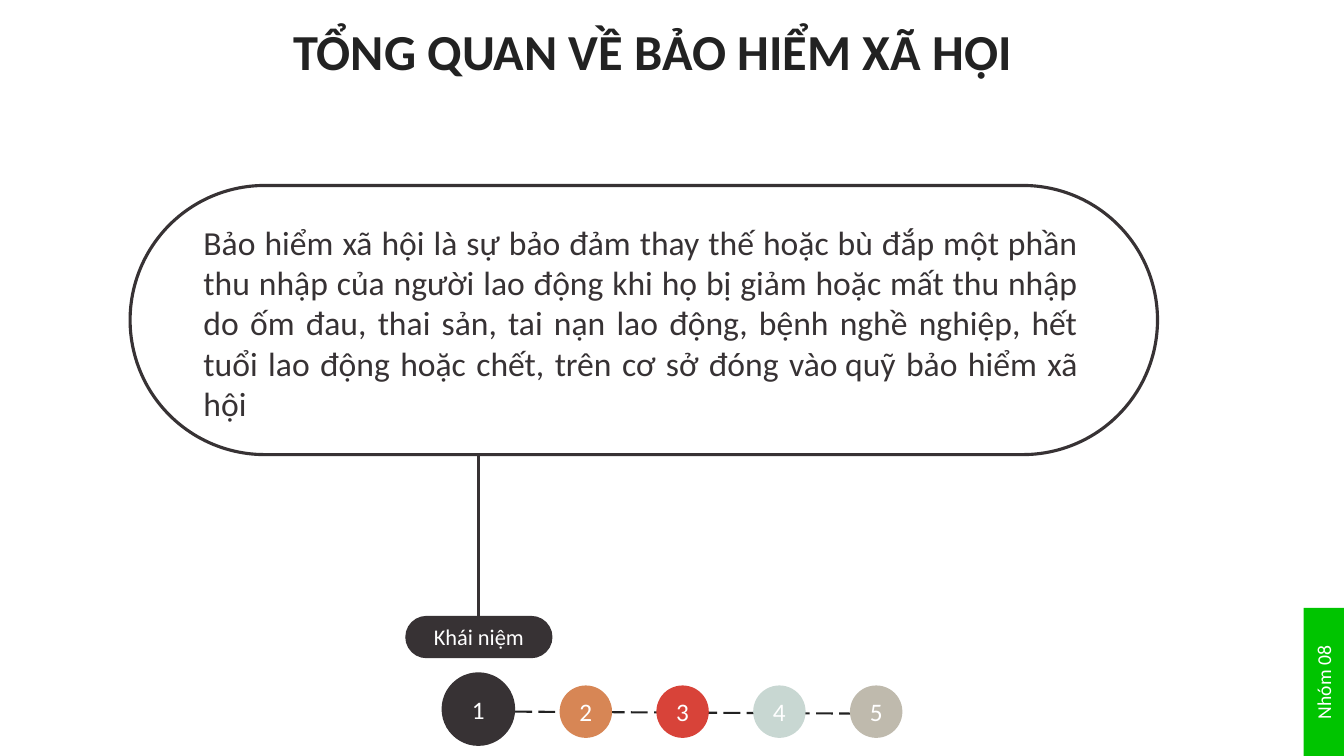
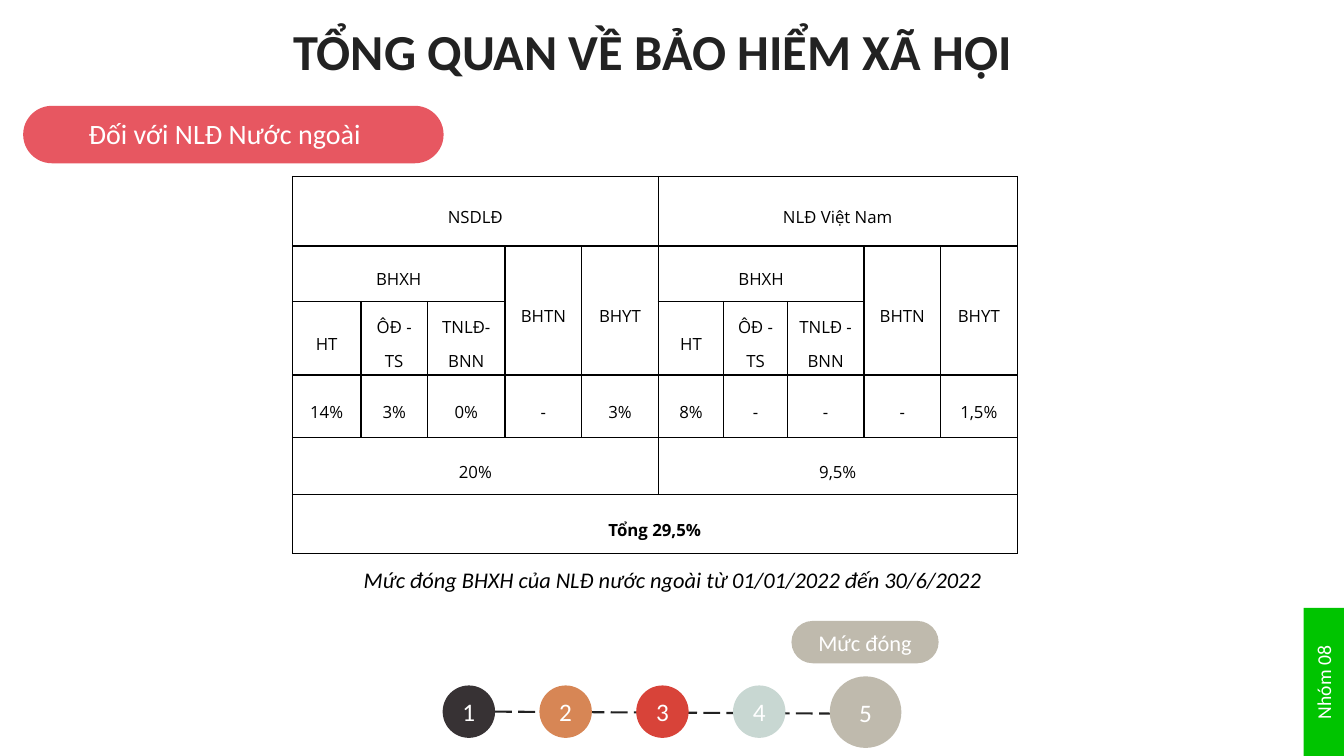
"""Build two slides on social insurance: the definition and the contribution table."""
from dataclasses import dataclass

from lxml import etree
from pptx import Presentation
from pptx import util as u
from pptx.dml.color import RGBColor
from pptx.enum import dml, shapes, text
from pptx.oxml import ns

WHITE = RGBColor(0xFF, 0xFF, 0xFF)
BLACK = RGBColor(0x00, 0x00, 0x00)
INK = RGBColor(0x22, 0x22, 0x22)
CHARCOAL = RGBColor(0x37, 0x32, 0x34)
ORANGE = RGBColor(0xD7, 0x86, 0x55)
RED = RGBColor(0xD8, 0x43, 0x39)
MINT = RGBColor(0xC8, 0xD7, 0xD2)
SAND = RGBColor(0xBF, 0xBA, 0xAD)
GREEN = RGBColor(0x00, 0xC4, 0x00)
CORAL = RGBColor(0xE7, 0x57, 0x61)

BODY_FONT, TABLE_FONT = "Calibri", "Open Sans"
STEP_COLORS = (CHARCOAL, ORANGE, RED, MINT, SAND)
STEP_PITCH, STEP_SIZE, STEP_TOP = 0.96, 0.52, 6.8
TITLE = "TỔNG QUAN VỀ BẢO HIỂM XÃ HỘI"
DEFINITION = (
    "Bảo hiểm xã hội là sự bảo đảm thay thế hoặc bù đắp một phần thu nhập của "
    "người lao động khi họ bị giảm hoặc mất thu nhập do ốm đau, thai sản, tai nạn "
    "lao động, bệnh nghề nghiệp, hết tuổi lao động hoặc chết, trên cơ sở đóng "
    "vào\u00a0quỹ bảo hiểm xã hội"
)
COLUMNS = (0.68, 0.66, 0.77, 0.76, 0.76, 0.65, 0.63, 0.76, 0.76, 0.76)
ROWS = (0.69, 0.55, 0.73, 0.62, 0.57, 0.58)

ALIGN = text.PP_ALIGN
RECT = shapes.MSO_SHAPE.RECTANGLE
PILL = shapes.MSO_SHAPE.ROUNDED_RECTANGLE
OVAL = shapes.MSO_SHAPE.OVAL


@dataclass(frozen=True)
class Area:
    """Hold a rectangle in inches."""
    left: float
    top: float
    width: float
    height: float

    def lengths(self):
        """Return the rectangle as lengths."""
        return [u.Inches(n) for n in (self.left, self.top, self.width, self.height)]


@dataclass(frozen=True)
class Progress:
    """Describe the step row: its small-circle origin, current step and label."""
    left: float
    current: int
    circle: Area
    label: str
    label_area: Area


@dataclass(frozen=True)
class Entry:
    """Describe a table cell and the rows and columns it covers."""
    row: int
    column: int
    words: str
    down: int = 1
    across: int = 1
    bold: bool = False


def write(frame, words: str, *, size: float, color=WHITE, font=BODY_FONT,
          align=ALIGN.LEFT, bold=False, italic=False, spacing=None,
          before=0, after=0) -> None:
    """Write one formatted paragraph."""
    para = frame.paragraphs[0]
    para.alignment = align
    para.line_spacing = spacing
    para.space_before, para.space_after = u.Pt(before), u.Pt(after)
    span = para.add_run()
    span.text = words
    span.font.size, span.font.name = u.Pt(size), font
    span.font.bold, span.font.italic = bold, italic
    span.font.color.rgb = color


def add_text(page, area: Area, words: str, **style) -> None:
    """Add a wrapping text box."""
    box = page.shapes.add_textbox(*area.lengths())
    box.text_frame.word_wrap = True
    write(box.text_frame, words, **style)


def add_box(page, kind, area: Area, fill=None, outline=None):
    """Add a flat shape with an optional fill and outline."""
    box = page.shapes.add_shape(kind, *area.lengths())
    box.shadow.inherit = False
    if kind == PILL:
        box.adjustments[0] = 0.5
    if fill is None:
        box.fill.background()
    else:
        box.fill.solid()
        box.fill.fore_color.rgb = fill
    if outline is None:
        box.line.fill.background()
    else:
        box.line.color.rgb = outline
        box.line.width = u.Pt(2.25)
    return box


def add_label(page, kind, area: Area, words: str, fill, size: float):
    """Add a filled shape with centred white text."""
    box = add_box(page, kind, area, fill)
    box.text_frame.vertical_anchor = text.MSO_ANCHOR.MIDDLE
    write(box.text_frame, words, size=size, align=ALIGN.CENTER)
    return box


def add_line(page, start: tuple, end: tuple, color, width: float, dash=None) -> None:
    """Add a straight line without a shadow."""
    line = page.shapes.add_connector(
        shapes.MSO_CONNECTOR.STRAIGHT, *[u.Inches(n) for n in start + end])
    line.line.color.rgb = color
    line.line.width = u.Pt(width)
    line.line.dash_style = dash
    etree.SubElement(line.element.spPr, ns.qn("a:effectLst"))


def add_page(deck):
    """Add a page with the shared title and group tab."""
    page = deck.slides.add_slide(deck.slide_layouts[6])
    add_box(page, RECT, Area(12.93, 6.03, 0.41, 1.47), GREEN)
    tab = add_label(page, RECT, Area(12.66, 6.6, 0.93, 0.34), "Nhóm 08", GREEN, 14)
    tab.rotation = 270
    tab.text_frame.word_wrap = False
    add_text(page, Area(2.81, 0.15, 7.7, 0.71), TITLE, size=36, color=INK, bold=True)
    return page


def add_progress(page, progress: Progress) -> None:
    """Draw the dashed row of steps with the current one enlarged and labelled."""
    areas = [Area(progress.left + STEP_PITCH * i, STEP_TOP, STEP_SIZE, STEP_SIZE)
             for i in range(len(STEP_COLORS))]
    areas[progress.current] = progress.circle
    add_line(page, (areas[0].left + areas[0].width, 7.06), (areas[-1].left + 0.17, 7.08),
             INK, 1.5, dml.MSO_LINE.LONG_DASH)
    for number, (area, color) in enumerate(zip(areas, STEP_COLORS), 1):
        add_label(page, OVAL, area, str(number), color, 18)
    add_label(page, PILL, progress.label_area, progress.label,
              STEP_COLORS[progress.current], 16)


def side_entries(first: int, party: str, accident: str, rates: tuple,
                 total: str) -> list[Entry]:
    """List the cells of one contributing party."""
    names = ("HT", "ÔĐ - TS", accident)
    return [
        Entry(0, first, party, across=5),
        Entry(1, first, "BHXH", across=3),
        Entry(1, first + 3, "BHTN", down=2),
        Entry(1, first + 4, "BHYT", down=2),
        *[Entry(2, first + i, name) for i, name in enumerate(names)],
        *[Entry(3, first + i, rate) for i, rate in enumerate(rates)],
        Entry(4, first, total, across=5),
    ]


def style_cell(cell) -> None:
    """Give a cell thin black borders and no fill."""
    properties = cell._tc.get_or_add_tcPr()
    for side in ("lnL", "lnR", "lnT", "lnB"):
        border = etree.SubElement(properties, ns.qn(f"a:{side}"), w=str(u.Pt(1)))
        fill = etree.SubElement(border, ns.qn("a:solidFill"))
        etree.SubElement(fill, ns.qn("a:srgbClr"), val=str(BLACK))
    cell.fill.background()


def add_rates(page, area: Area, entries: list[Entry]) -> None:
    """Draw the contribution table."""
    table = page.shapes.add_table(len(ROWS), len(COLUMNS), *area.lengths()).table
    table.first_row = table.horz_banding = False
    for column, width in zip(table.columns, COLUMNS):
        column.width = u.Inches(width)
    for row, height in zip(table.rows, ROWS):
        row.height = u.Inches(height)
    for cell in table.iter_cells():
        style_cell(cell)
    for entry in entries:
        cell = table.cell(entry.row, entry.column)
        merged = entry.down * entry.across > 1
        if merged:
            cell.merge(table.cell(entry.row + entry.down - 1,
                                  entry.column + entry.across - 1))
        cell.margin_left = cell.margin_right = u.Inches(0.09 if merged else 0.07)
        cell.margin_top = cell.margin_bottom = u.Inches(0.05 if merged else 0)
        cell.vertical_anchor = text.MSO_ANCHOR.MIDDLE
        write(cell.text_frame, entry.words, size=12, color=BLACK, font=TABLE_FONT,
              align=ALIGN.CENTER, bold=entry.bold, spacing=1.5, after=8)


def build_definition(deck) -> None:
    """Build the definition slide."""
    page = add_page(deck)
    add_progress(page, Progress(4.59, 0, Area(4.38, 6.67, 0.73, 0.73),
                                "Khái niệm", Area(4.02, 6.11, 1.46, 0.42)))
    add_text(page, Area(1.92, 2.15, 8.87, 2.12), DEFINITION, size=24,
             color=CHARCOAL, align=ALIGN.JUSTIFY, before=6)
    add_box(page, PILL, Area(1.29, 1.84, 10.19, 2.67), outline=CHARCOAL)
    add_line(page, (4.75, 6.11), (4.75, 4.52), CHARCOAL, 2.25)


def build_contributions(deck) -> None:
    """Build the contribution slide."""
    page = add_page(deck)
    add_progress(page, Progress(4.39, 4, Area(8.23, 6.71, 0.71, 0.71),
                                "Mức đóng", Area(7.85, 6.16, 1.46, 0.42)))
    employer = side_entries(0, "NSDLĐ", "TNLĐ- BNN", ("14%", "3%", "0%", "-", "3%"), "20%")
    worker = side_entries(5, "NLĐ Việt Nam", "TNLĐ - BNN",
                          ("8%", "-", "-", "-", "1,5%"), "9,5%")
    total = Entry(5, 0, "Tổng 29,5%", across=10, bold=True)
    add_rates(page, Area(2.9, 1.75, 7.17, 3.74), [*employer, *worker, total])
    add_text(page, Area(3.26, 5.43, 6.82, 0.46),
             "Mức đóng BHXH của NLĐ nước ngoài từ 01/01/2022 đến 30/6/2022",
             size=16, color=BLACK, align=ALIGN.CENTER, italic=True, spacing=1.5)
    add_box(page, PILL, Area(0.23, 1.05, 4.17, 0.57), CORAL)
    add_text(page, Area(0.78, 1.11, 3.07, 0.77), "Đối với NLĐ Nước ngoài", size=20)


def main() -> None:
    """Build and save the deck."""
    deck = Presentation()
    deck.slide_width, deck.slide_height = u.Inches(13.33), u.Inches(7.5)
    build_definition(deck)
    build_contributions(deck)
    deck.save("out.pptx")


main()
